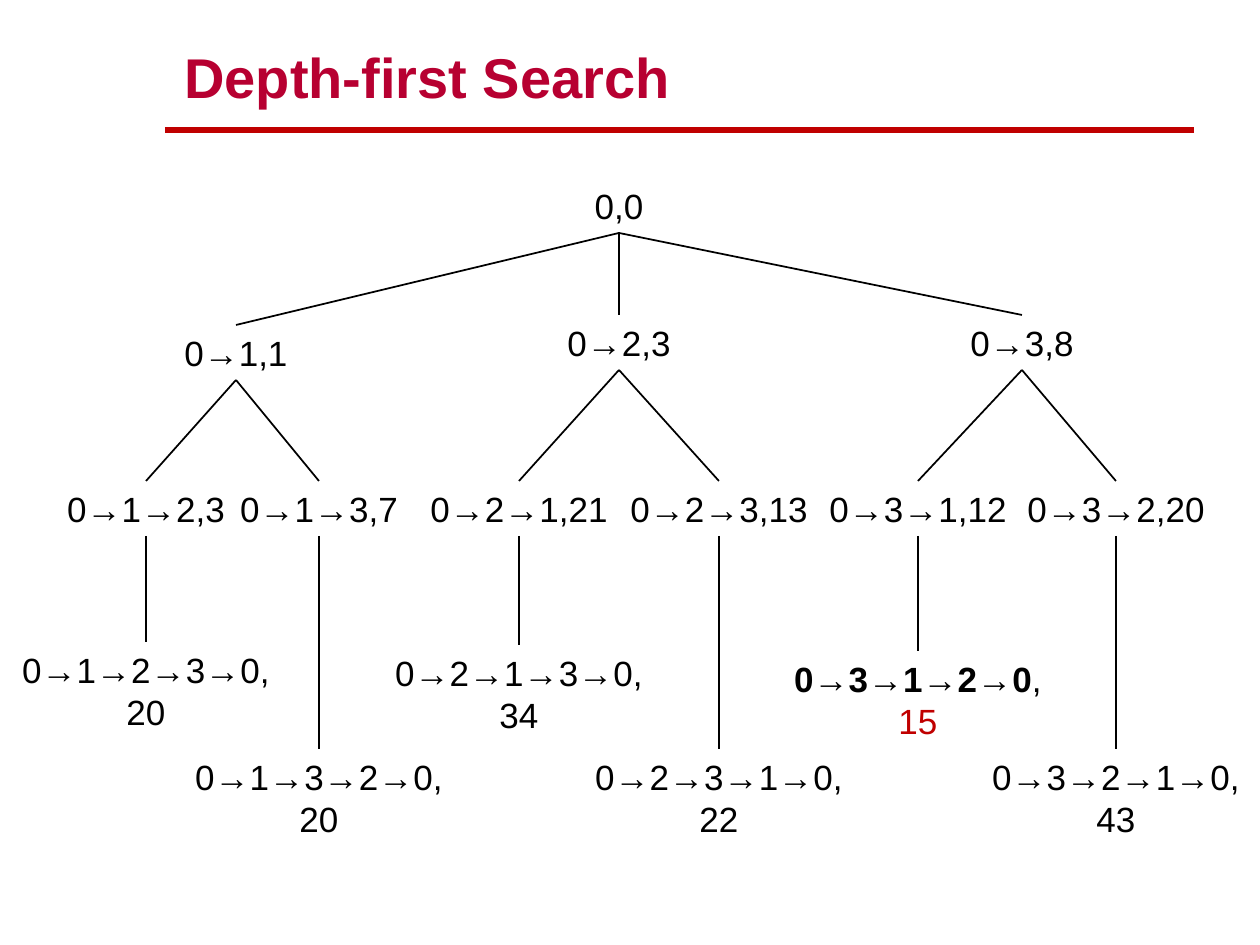
from lxml import etree
from pptx import Presentation
from pptx.dml.color import RGBColor
from pptx.enum.shapes import MSO_CONNECTOR
from pptx.enum.text import MSO_ANCHOR, MSO_AUTO_SIZE, PP_ALIGN
from pptx.oxml.ns import qn
from pptx.util import Pt

PX = 914400 // 126
BLACK, RED = "000000", "C00000"

TITLE = "Depth-first Search"
BEST = [("0→3→1→2→0", True, BLACK), (",", False, BLACK), ("15", False, RED)]
TREE = ("0,0", 619, 178, [
    ("0→1,1", 236, 325, [
        ("0→1→2,3", 146, 481, [("0→1→2→3→0,20", 146, 642, [])]),
        ("0→1→3,7", 319, 481, [("0→1→3→2→0,20", 319, 749, [])]),
    ]),
    ("0→2,3", 619, 315, [
        ("0→2→1,21", 519, 481, [("0→2→1→3→0,34", 519, 645, [])]),
        ("0→2→3,13", 719, 481, [("0→2→3→1→0,22", 719, 749, [])]),
    ]),
    ("0→3,8", 1022, 315, [
        ("0→3→1,12", 918, 481, [(BEST, 918, 651, [])]),
        ("0→3→2,20", 1116, 481, [("0→3→2→1→0,43", 1116, 749, [])]),
    ]),
])
SIZES = [(100, 55), (166, 55), (234, 55), (290, 97)]


def color(code):
    return RGBColor.from_string(code)


def add_text(slide, box, runs, size, align):
    shape = slide.shapes.add_textbox(*[n * PX for n in box])
    frame = shape.text_frame
    frame.word_wrap = True
    para = frame.paragraphs[0]
    para.alignment = align
    for text, bold, tint in runs:
        run = para.add_run()
        run.text = text
        run.font.name = "Arial"
        run.font.size = Pt(size)
        run.font.bold = bold
        run.font.color.rgb = color(tint)
    return shape


def add_line(slide, ends, tint, width):
    line = slide.shapes.add_connector(MSO_CONNECTOR.STRAIGHT, *[n * PX for n in ends])
    line.line.color.rgb = color(tint)
    line.line.width = Pt(width)
    etree.SubElement(line._element.spPr, qn("a:effectLst"))
    return line


def add_node(slide, node, level=0, above=None):
    label, mid, top, kids = node
    wide, high = SIZES[level]
    runs = [(label, False, BLACK)] if isinstance(label, str) else label
    box = add_text(slide, (mid - wide // 2, top, wide, high), runs, 20, PP_ALIGN.CENTER)
    box.text_frame.auto_size = MSO_AUTO_SIZE.SHAPE_TO_FIT_TEXT
    if above is not None:
        line = add_line(slide, (mid, top, mid, top), BLACK, 1)
        line.begin_connect(above, 2)
        line.end_connect(box, 0)
    for kid in kids:
        add_node(slide, kid, level + 1, box)


def main():
    deck = Presentation()
    deck.slide_width, deck.slide_height = 1260 * PX, 945 * PX
    slide = deck.slides.add_slide(deck.slide_layouts[6])
    add_line(slide, (165, 130, 1194, 130), RED, 3)
    title = add_text(slide, (172, 32, 1008, 84), [(TITLE, True, "B70031")], 32, PP_ALIGN.LEFT)
    title.text_frame.vertical_anchor = MSO_ANCHOR.BOTTOM
    add_node(slide, TREE)
    deck.save("out.pptx")


if __name__ == "__main__":
    main()
